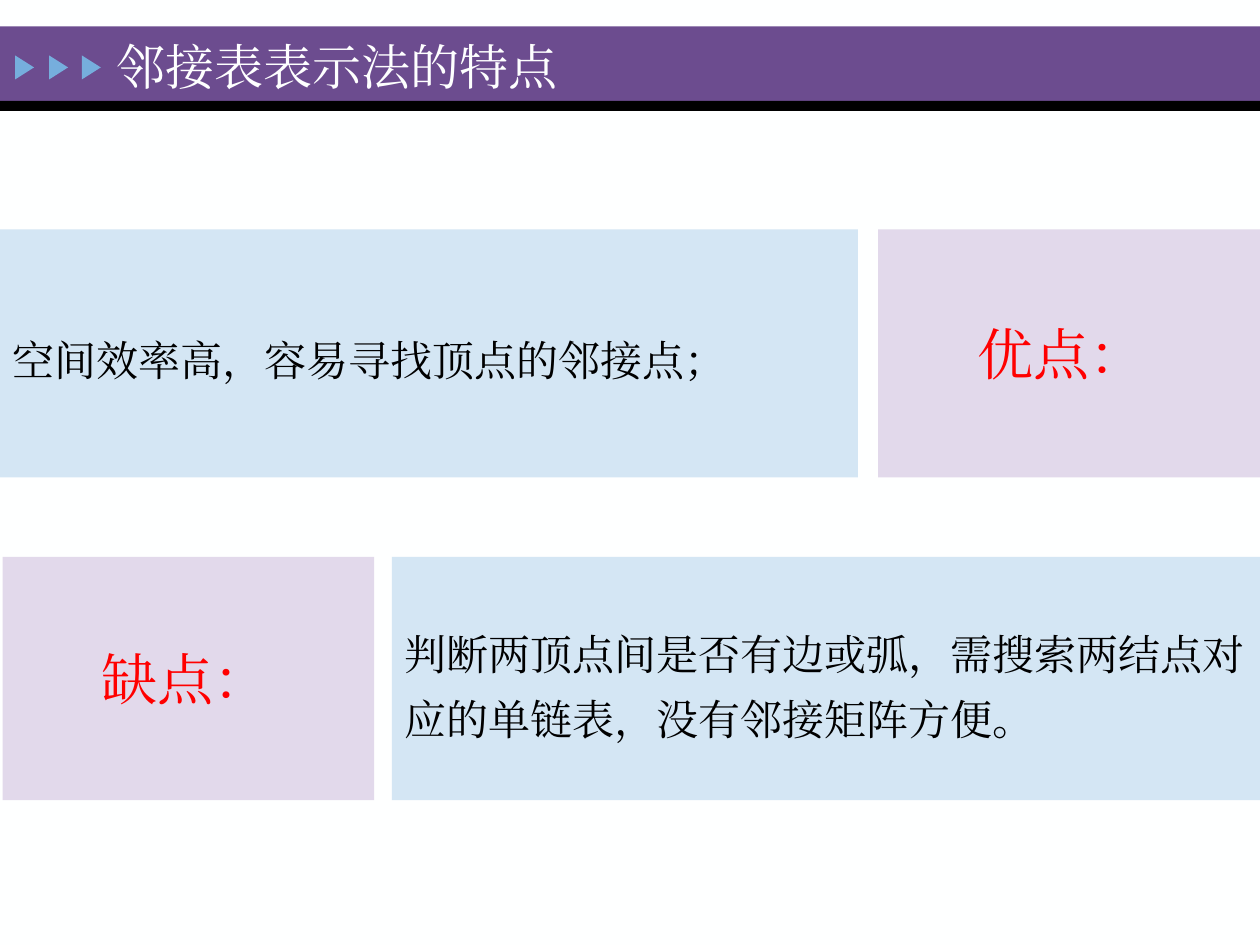
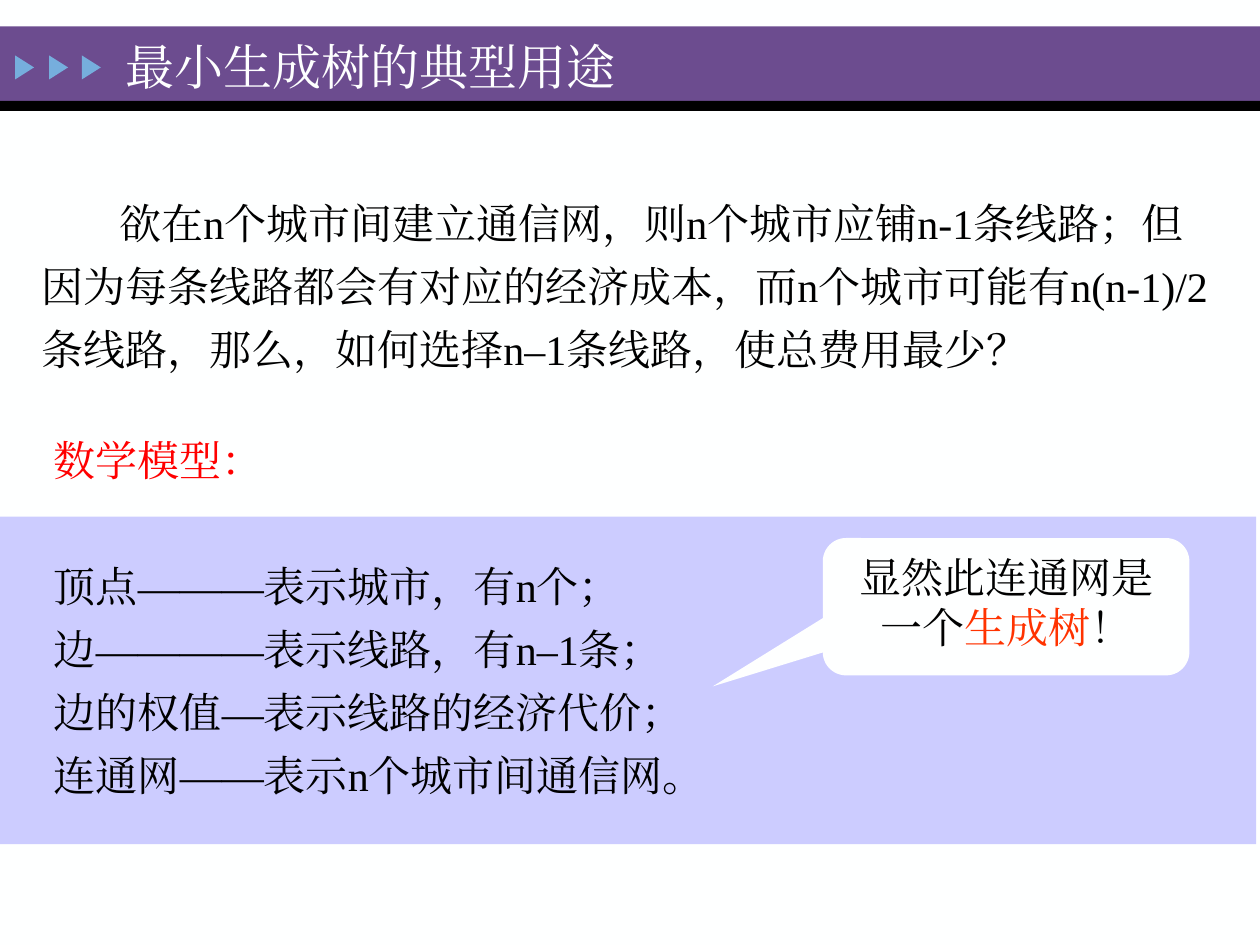
from lxml.etree import SubElement
from pptx import Presentation
from pptx.dml.color import RGBColor
from pptx.enum.lang import MSO_LANGUAGE_ID as Language
from pptx.enum.shapes import MSO_SHAPE as Shape
from pptx.enum.text import MSO_ANCHOR as Anchor, PP_ALIGN as Align
from pptx.oxml.ns import qn
from pptx.util import Inches, Pt

FONT = "Times New Roman"
PAPER, INK, RED, ORANGE = "FEFFFF", "000000", "FF0000", "FF3300"
PURPLE, ARROW, LILAC, SKY, PANEL = "6C4C8F", "76AEDD", "E2D9EB", "D4E6F4", "CCCCFF"

ARROW_LEFTS = (0.1, 0.37, 0.63)

# Each row: top, height, (label, left, width), (statement, left, width, line spacing)
TRAITS = [
    (1.82, 1.97, ("优点：", 6.97, 3.03),
     ("空间效率高，容易寻找顶点的邻接点；", 0, 6.81, 1.25)),
    (4.42, 1.93, ("缺点：", 0.02, 2.95),
     ("判断两顶点间是否有边或弧，需搜索两结点对应的单链表，没有邻接矩阵方便。",
      3.11, 6.89, 1.3)),
]

QUESTION = ("欲在n个城市间建立通信网，则n个城市应铺n-1条线路；"
            "但因为每条线路都会有对应的经济成本，而n个城市可能有n(n-1)/2 条线路，"
            "那么，如何选择n–1条线路，使总费用最少？")
MODEL_TITLE = "数学模型："
MODEL = [
    "顶点———表示城市，有n个；",
    "边————表示线路，有n–1条；",
    "边的权值—表示线路的经济代价；",
    "连通网——表示n个城市间通信网。",
]
REMARK = [("显然此连通网是一个", INK), ("生成树", ORANGE), ("！", INK)]


def color(value):
    return RGBColor.from_string(value)


def add_shape(page, at, fill, kind=Shape.RECTANGLE):
    shape = page.shapes.add_shape(kind, *map(Inches, at))
    shape.shadow.inherit = False
    shape.fill.solid()
    shape.fill.fore_color.rgb = color(fill)
    shape.line.fill.background()
    return shape


def add_box(page, at):
    return page.shapes.add_textbox(*map(Inches, at))


def write(shape, spans, size=24, ink=INK, spacing=None, before=0,
          margin=0, indent=0, align=Align.LEFT, anchor=Anchor.TOP):
    """Add one paragraph; spans is a string or a list of (text, colour)."""
    frame = shape.text_frame
    frame.word_wrap = True
    frame.vertical_anchor = anchor
    para = frame.add_paragraph() if frame.text else frame.paragraphs[0]
    para.alignment = align
    para.space_before = Pt(before)
    if spacing:
        para.line_spacing = spacing
    properties = para._p.get_or_add_pPr()
    properties.set("marL", str(Inches(margin)))
    properties.set("indent", str(Inches(indent)))
    for text, span_ink in [(spans, ink)] if isinstance(spans, str) else spans:
        span = para.add_run()
        span.text = text
        font = span.font
        font.name, font.size = FONT, Pt(size)
        font.color.rgb = color(span_ink)
        font.language_id = Language.SIMPLIFIED_CHINESE
        SubElement(span._r.get_or_add_rPr(), qn("a:ea"), typeface=FONT)


def add_page(deck, title, title_left, title_width):
    """Add a page with the shared band, arrows and title."""
    page = deck.slides.add_slide(deck.slide_layouts[6])
    page.background.fill.solid()
    page.background.fill.fore_color.rgb = color(PAPER)
    add_shape(page, (0, 0.21, 10, 0.59), PURPLE)
    add_shape(page, (0, 0.8, 10, 0.08), INK)
    for left in ARROW_LEFTS:
        arrow = add_shape(page, (left, 0.46, 0.19, 0.15), ARROW,
                          Shape.ISOSCELES_TRIANGLE)
        arrow.rotation = 90
    write(add_box(page, (title_left, 0.24, title_width, 0.56)), title,
          size=28, ink=PAPER, anchor=Anchor.MIDDLE)
    return page


def build_traits(deck):
    page = add_page(deck, "邻接表表示法的特点", 0.83, 7)
    for top, height, (label, left, width), statement in TRAITS:
        box = add_shape(page, (left, top, width, height), LILAC)
        write(box, label, size=32, ink=RED, before=6.4, indent=0.69,
              anchor=Anchor.MIDDLE)
        text, left, width, spacing = statement
        box = add_shape(page, (left, top, width, height), SKY)
        write(box, text, spacing=spacing, anchor=Anchor.MIDDLE)


def build_spanning_tree(deck):
    page = add_page(deck, "最小生成树的典型用途", 0.9, 5.59)
    add_shape(page, (-0.03, 4.1, 10, 2.6), PANEL)
    write(add_box(page, (0.23, 1.42, 9.5, 1.62)), QUESTION,
          spacing=1.25, indent=0.62)

    model = add_box(page, (0.33, 3.3, 5.7, 3.13))
    hanging = dict(spacing=1.25, margin=0.42, indent=-0.42)
    write(model, MODEL_TITLE, ink=RED, **hanging)
    for number, line in enumerate(MODEL):
        write(model, line, before=0 if number else 36, **hanging)

    callout = add_shape(page, (6.53, 4.27, 2.91, 1.09), PAPER,
                        Shape.ROUNDED_RECTANGULAR_CALLOUT)
    for number, value in enumerate((-0.8, 0.58, 0.17)):
        callout.adjustments[number] = value
    write(callout, REMARK, align=Align.CENTER)


def main():
    deck = Presentation()
    deck.slide_width, deck.slide_height = Inches(10), Inches(7.5)
    build_traits(deck)
    build_spanning_tree(deck)
    deck.save("out.pptx")


if __name__ == "__main__":
    main()
